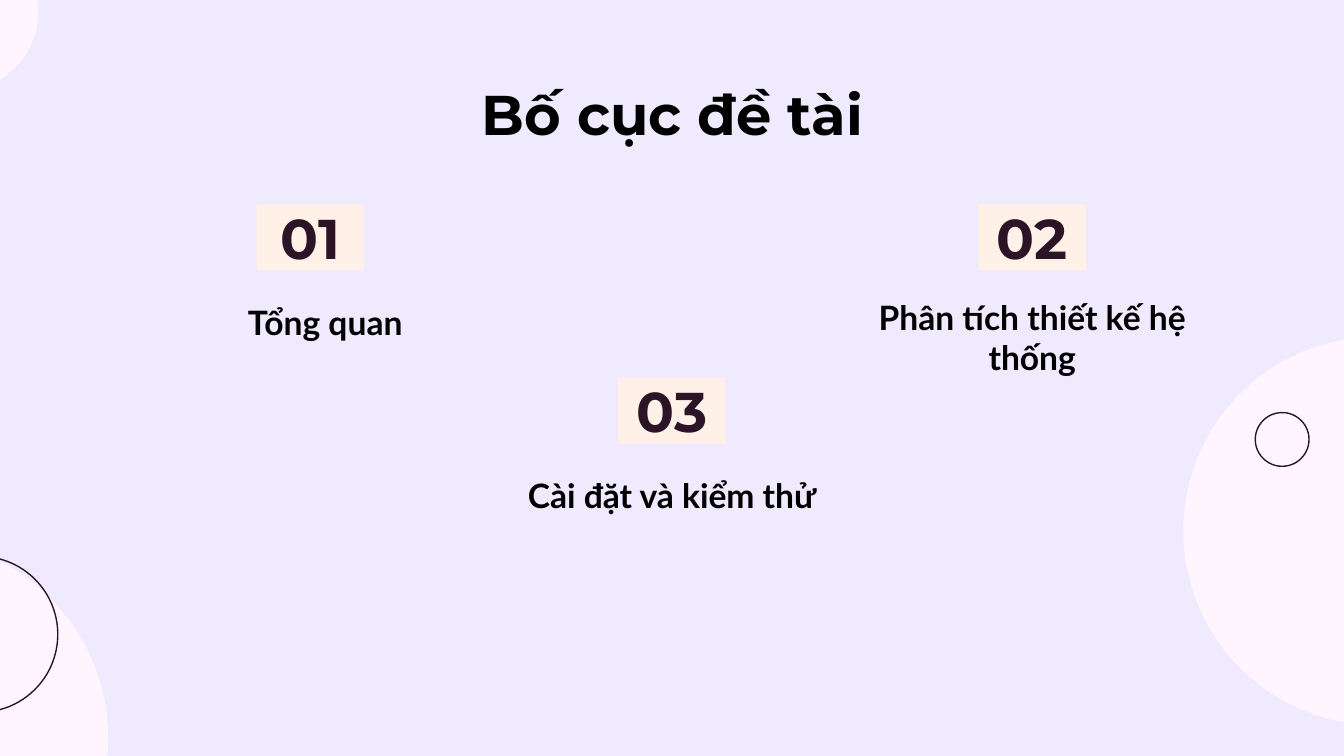
from dataclasses import dataclass

import pptx
import pptx.dml.color
import pptx.enum.shapes
import pptx.enum.text
import pptx.util

Inches = pptx.util.Inches
Anchor = pptx.enum.text.MSO_ANCHOR
Preset = pptx.enum.shapes.MSO_SHAPE

BLACK = "000000"
PLUM = "2C1426"
PEACH = "FFF1E7"
BLUSH = "FFF5FE"
LAVENDER = "F0EAFE"


@dataclass
class Circle:
    left: float
    top: float
    diameter: float
    line: str
    fill: str | None = None


@dataclass
class Section:
    number: str
    heading: str
    badge_left: float
    badge_top: float
    heading_left: float
    heading_top: float
    heading_width: float = 2.52


CIRCLES = [
    Circle(-2.15, 4.02, 2.95, BLUSH, BLUSH),
    Circle(8.81, 2.51, 2.88, BLUSH, BLUSH),
    Circle(-0.88, -0.49, 1.16, BLUSH, BLUSH),
    Circle(-0.73, 4.14, 1.16, PLUM),
    Circle(9.34, 3.07, 0.4, PLUM),
]

SECTIONS = [
    Section("01", "Tổng quan", 1.91, 1.52, 0.57, 2.15, 3.7),
    Section("02", "Phân tích thiết kế hệ thống", 7.28, 1.52, 6.42, 2.11),
    Section("03", "Cài đặt và kiểm thử", 4.6, 2.81, 3.74, 3.43),
]


def color(hex_code: str) -> pptx.dml.color.RGBColor:
    return pptx.dml.color.RGBColor.from_string(hex_code)


def write(shape, text: str, *, font: str, size: float, ink: str = BLACK, anchor=Anchor.TOP) -> None:
    frame = shape.text_frame
    frame.word_wrap = True
    frame.vertical_anchor = anchor
    frame.margin_left = frame.margin_right = Inches(0.1)
    frame.margin_top = frame.margin_bottom = Inches(0.1)
    paragraph = frame.paragraphs[0]
    paragraph.alignment = pptx.enum.text.PP_ALIGN.CENTER
    run = paragraph.add_run()
    run.text = text
    run.font.name = font
    run.font.size = pptx.util.Pt(size)
    run.font.bold = True
    run.font.color.rgb = color(ink)


def add_preset(slide, preset, left: float, top: float, width: float, height: float,
               fill: str | None = None, line: str | None = None):
    shape = slide.shapes.add_shape(preset, Inches(left), Inches(top), Inches(width), Inches(height))
    shape.shadow.inherit = False
    if fill:
        shape.fill.solid()
        shape.fill.fore_color.rgb = color(fill)
    else:
        shape.fill.background()
    if line:
        shape.line.color.rgb = color(line)
        shape.line.width = pptx.util.Pt(0.75)
    else:
        shape.line.fill.background()
    return shape


def add_text(slide, text: str, left: float, top: float, width: float, height: float, **text_format) -> None:
    box = slide.shapes.add_textbox(Inches(left), Inches(top), Inches(width), Inches(height))
    write(box, text, **text_format)


def draw_circle(slide, circle: Circle) -> None:
    add_preset(slide, Preset.OVAL, circle.left, circle.top, circle.diameter, circle.diameter,
               fill=circle.fill, line=circle.line)


def draw_section(slide, section: Section) -> None:
    badge = add_preset(slide, Preset.RECTANGLE, section.badge_left, section.badge_top, 0.8, 0.49, fill=PEACH)
    write(badge, section.number, font="Montserrat", size=30, ink=PLUM, anchor=Anchor.MIDDLE)
    add_text(slide, section.heading, section.heading_left, section.heading_top,
             section.heading_width, 0.49, font="Lato", size=18)


def main() -> None:
    deck = pptx.Presentation()
    deck.slide_width = Inches(10)
    deck.slide_height = Inches(10 * 9 / 16)
    slide = deck.slides.add_slide(deck.slide_layouts[6])
    slide.background.fill.solid()
    slide.background.fill.fore_color.rgb = color(LAVENDER)

    for circle in CIRCLES:
        draw_circle(slide, circle)
    add_text(slide, "Bố cục đề tài", 0.79, 0.49, 8.43, 0.63, font="Montserrat", size=30)
    for section in SECTIONS:
        draw_section(slide, section)

    deck.save("out.pptx")


if __name__ == "__main__":
    main()
